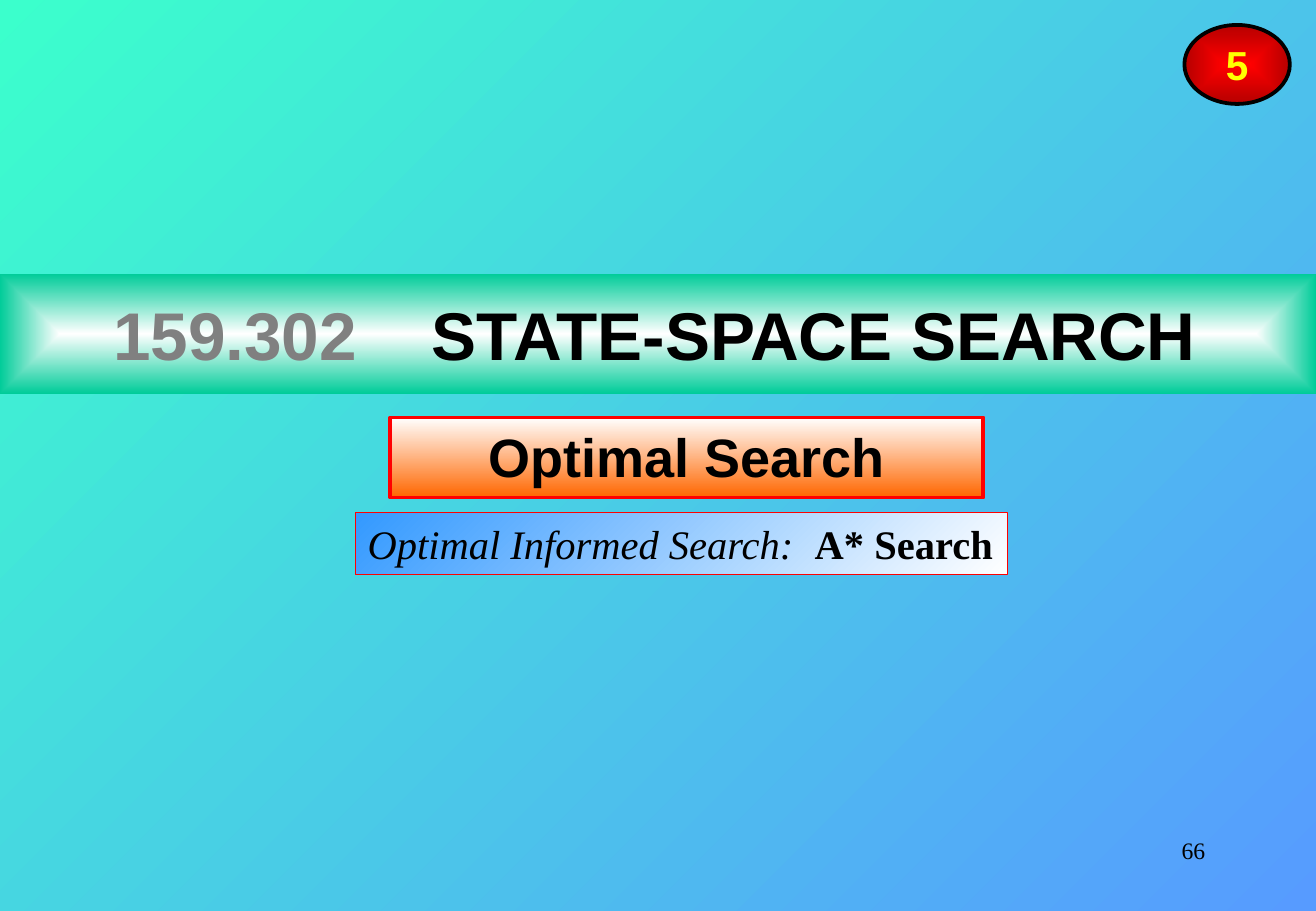
import pptx
import pptx.dml.color
import pptx.enum.shapes
import pptx.enum.text
import pptx.oxml
import pptx.oxml.ns
import pptx.util

Pt = pptx.util.Pt
ALIGN = pptx.enum.text.PP_ALIGN
ANCHOR = pptx.enum.text.MSO_ANCHOR
RECT = pptx.enum.shapes.MSO_SHAPE.RECTANGLE
OVAL = pptx.enum.shapes.MSO_SHAPE.OVAL
NS = pptx.oxml.ns.nsdecls("a")


def rgb(value):
    return pptx.dml.color.RGBColor.from_string(value)


def paint_gradient(fill, colors, angle):
    fill.gradient()
    fill.gradient_angle = (360 - angle) % 360
    for stop, color in zip(fill.gradient_stops, colors):
        stop.color.rgb = rgb(color)


deck = pptx.Presentation()
deck.slide_width, deck.slide_height = Pt(780), Pt(540)
slide = deck.slides.add_slide(deck.slide_layouts[6])
paint_gradient(slide.background.fill, ("3BFFCC", "579BFF"), 45)

page_number = slide.shapes.add_textbox(Pt(558.7), Pt(491.8), Pt(162.7), Pt(36))
page_number.text_frame.word_wrap = True
page_number.text_frame.text = "66"
page_line = page_number.text_frame.paragraphs[0]
page_line.alignment = ALIGN.RIGHT
page_line.runs[0].font.size = Pt(14)
page_line.runs[0].font.name = "Times New Roman"
page_line.runs[0].font.color.rgb = rgb("000000")

# geometry, box, gradient, angle (None = from centre), outline, anchor, left inset, tab stop, font, size, runs
panels = [
    (RECT, (0, 162.3, 780, 71), ("FFFFFF", "00CC99"), None, None, ANCHOR.MIDDLE, 67, 189,
     "Arial", 40, [("159.302\t", "808080", True, False), ("STATE-SPACE SEARCH", "000000", True, False)]),
    (RECT, (231.3, 247.5, 351.5, 47.5), ("FFFFFF", "FF6600"), 90, ("FF0000", 2.25), ANCHOR.TOP, 7.2, None,
     "Arial", 32, [("Optimal Search", "000000", True, False)]),
    (OVAL, (702, 14.8, 62.5, 46.8), ("FF0000", "B60000"), None, ("000000", 2.25), ANCHOR.MIDDLE, 7.2, None,
     "Arial", 24, [("5", "FFFF00", True, False)]),
    (RECT, (210.8, 304, 386.4, 36.5), ("3399FF", "FFFFFF"), 45, ("FF0000", 0.75), ANCHOR.TOP, 7.2, 265,
     "Times New Roman", 24,
     [("Optimal Informed Search:\t", "000000", False, True), ("A* Search", "000000", True, False)]),
]

for geometry, box, colors, angle, outline, anchor, inset, tab, font, size, runs in panels:
    panel = slide.shapes.add_shape(geometry, *map(Pt, box))
    panel.shadow.inherit = False
    paint_gradient(panel.fill, colors, angle or 0)
    if angle is None:
        linear = panel._element.spPr.find(".//" + pptx.oxml.ns.qn("a:lin"))
        linear.getparent().replace(linear, pptx.oxml.parse_xml(
            f'<a:path {NS} path="shape">'
            '<a:fillToRect l="50000" t="50000" r="50000" b="50000"/></a:path>'))
    if outline:
        panel.line.color.rgb = rgb(outline[0])
        panel.line.width = Pt(outline[1])
    else:
        panel.line.fill.background()

    frame = panel.text_frame
    frame.word_wrap = tab is None and geometry == RECT
    frame.vertical_anchor = anchor
    frame.margin_left = Pt(inset)
    frame.margin_right = Pt(7.2)
    caption = frame.paragraphs[0]
    caption.alignment = ALIGN.LEFT if tab else ALIGN.CENTER
    if tab:
        caption._p.get_or_add_pPr().append(pptx.oxml.parse_xml(
            f'<a:tabLst {NS}><a:tab pos="{Pt(tab)}" algn="l"/></a:tabLst>'))
        frame.word_wrap = True
    for words, color, bold, italic in runs:
        run = caption.add_run()
        run.text = words
        run.font.name, run.font.size = font, Pt(size)
        run.font.bold, run.font.italic = bold, italic
        run.font.color.rgb = rgb(color)

deck.save("out.pptx")
